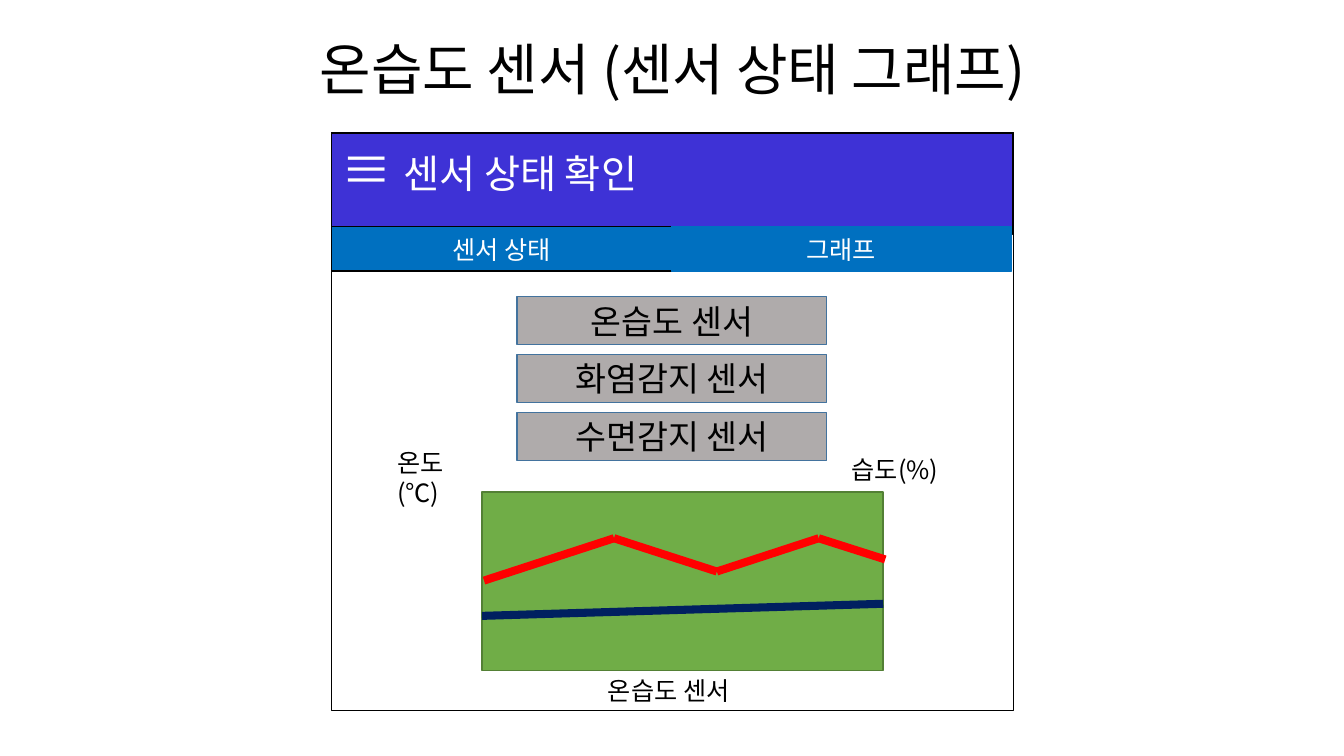
from itertools import pairwise

from lxml import etree
from pptx import Presentation
from pptx.dml.color import RGBColor
from pptx.enum import shapes, text
from pptx.oxml import ns
from pptx.util import Inches, Pt

FONT = "Noto Sans CJK KR"
BLACK = RGBColor(0x00, 0x00, 0x00)
WHITE = RGBColor(0xFF, 0xFF, 0xFF)
HEADER_BLUE = RGBColor(0x3E, 0x32, 0xD6)
TAB_BLUE = RGBColor(0x00, 0x70, 0xC0)
BUTTON_GRAY = RGBColor(0xAF, 0xAB, 0xAB)
BUTTON_EDGE = RGBColor(0x43, 0x73, 0x9E)
GRAPH_GREEN = RGBColor(0x70, 0xAD, 0x47)
GRAPH_EDGE = RGBColor(0x53, 0x80, 0x35)
TEMPERATURE_RED = RGBColor(0xFF, 0x00, 0x00)
HUMIDITY_NAVY = RGBColor(0x00, 0x20, 0x60)

prs = Presentation()
prs.slide_width, prs.slide_height = Inches(13.33), Inches(7.5)
slide = prs.slides.add_slide(prs.slide_layouts[5])


def write(shape, words, size=18, color=BLACK, align=text.PP_ALIGN.CENTER,
          anchor=text.MSO_ANCHOR.MIDDLE):
    """Append a formatted run to the first paragraph of the shape."""
    frame = shape.text_frame
    frame.word_wrap = True
    frame.vertical_anchor = anchor
    paragraph = frame.paragraphs[0]
    paragraph.alignment = align
    run = paragraph.add_run()
    run.text = words
    run.font.size = Pt(size)
    run.font.name = FONT
    run.font.color.rgb = color
    east_asian = etree.SubElement(run.font._element, ns.qn("a:ea"))
    east_asian.set("typeface", FONT)


def add_box(left, top, width, height, fill, edge, weight=1):
    box = slide.shapes.add_shape(shapes.MSO_SHAPE.RECTANGLE, Inches(left),
                                 Inches(top), Inches(width), Inches(height))
    box.shadow.inherit = False
    if fill is None:
        box.fill.background()
    else:
        box.fill.solid()
        box.fill.fore_color.rgb = fill
    box.line.color.rgb = edge
    box.line.width = Pt(weight)
    return box


title = slide.shapes.title
title.left, title.top = Inches(0.92), Inches(0.28)
title.width, title.height = Inches(11.5), Inches(0.79)
write(title, "온습도 센서 (센서 상태 그래프)", size=40,
      anchor=text.MSO_ANCHOR.BOTTOM)
title.text_frame.auto_size = text.MSO_AUTO_SIZE.NONE
title.text_frame.paragraphs[0].line_spacing = 0.9

# App window and header
add_box(3.29, 1.32, 6.76, 5.73, WHITE, BLACK)
add_box(3.29, 1.32, 6.76, 0.95, HEADER_BLUE, BLACK)
header = add_box(3.29, 1.32, 6.75, 1.01, None, BLACK, weight=0.75)
for words, size in (("≡ ", 36), ("센서 상태 확인", 28)):
    write(header, words, size=size, color=WHITE, align=text.PP_ALIGN.LEFT,
          anchor=text.MSO_ANCHOR.TOP)

# Tabs
for column, (tab_name, edge) in enumerate((("센서 상태", BLACK),
                                           ("그래프", TAB_BLUE))):
    tab = add_box(3.29 + 3.37 * column, 2.25, 3.37, 0.44, TAB_BLUE, edge)
    write(tab, tab_name, color=WHITE)

# Sensor buttons
for row, sensor in enumerate(("온습도 센서", "화염감지 센서", "수면감지 센서")):
    button = add_box(5.13, 2.94 + 0.575 * row, 3.07, 0.48,
                     BUTTON_GRAY, BUTTON_EDGE)
    write(button, sensor, size=24)

# Graph
add_box(4.78, 4.88, 3.98, 1.77, GRAPH_GREEN, GRAPH_EDGE)
temperature = [(4.8, 5.76), (6.09, 5.34), (7.11, 5.67), (8.12, 5.34), (8.78, 5.55)]
humidity = [(4.78, 6.11), (8.76, 5.99)]
for points, color in ((temperature, TEMPERATURE_RED), (humidity, HUMIDITY_NAVY)):
    for (x1, y1), (x2, y2) in pairwise(points):
        segment = slide.shapes.add_connector(
            shapes.MSO_CONNECTOR.STRAIGHT,
            Inches(x1), Inches(y1), Inches(x2), Inches(y2))
        segment.line.color.rgb = color
        segment.line.width = Pt(5.75)
        etree.SubElement(segment._element.spPr, ns.qn("a:effectLst"))

for words, left, top, width in (("온도(℃)", 3.84, 4.39, 1.07),
                                ("습도(%)", 8.35, 4.46, 1.16),
                                ("온습도 센서", 5.93, 6.65, 1.81)):
    label = slide.shapes.add_textbox(Inches(left), Inches(top),
                                     Inches(width), Inches(0.4))
    write(label, words, align=text.PP_ALIGN.LEFT, anchor=text.MSO_ANCHOR.TOP)
    label.text_frame.auto_size = text.MSO_AUTO_SIZE.SHAPE_TO_FIT_TEXT

prs.save("out.pptx")
